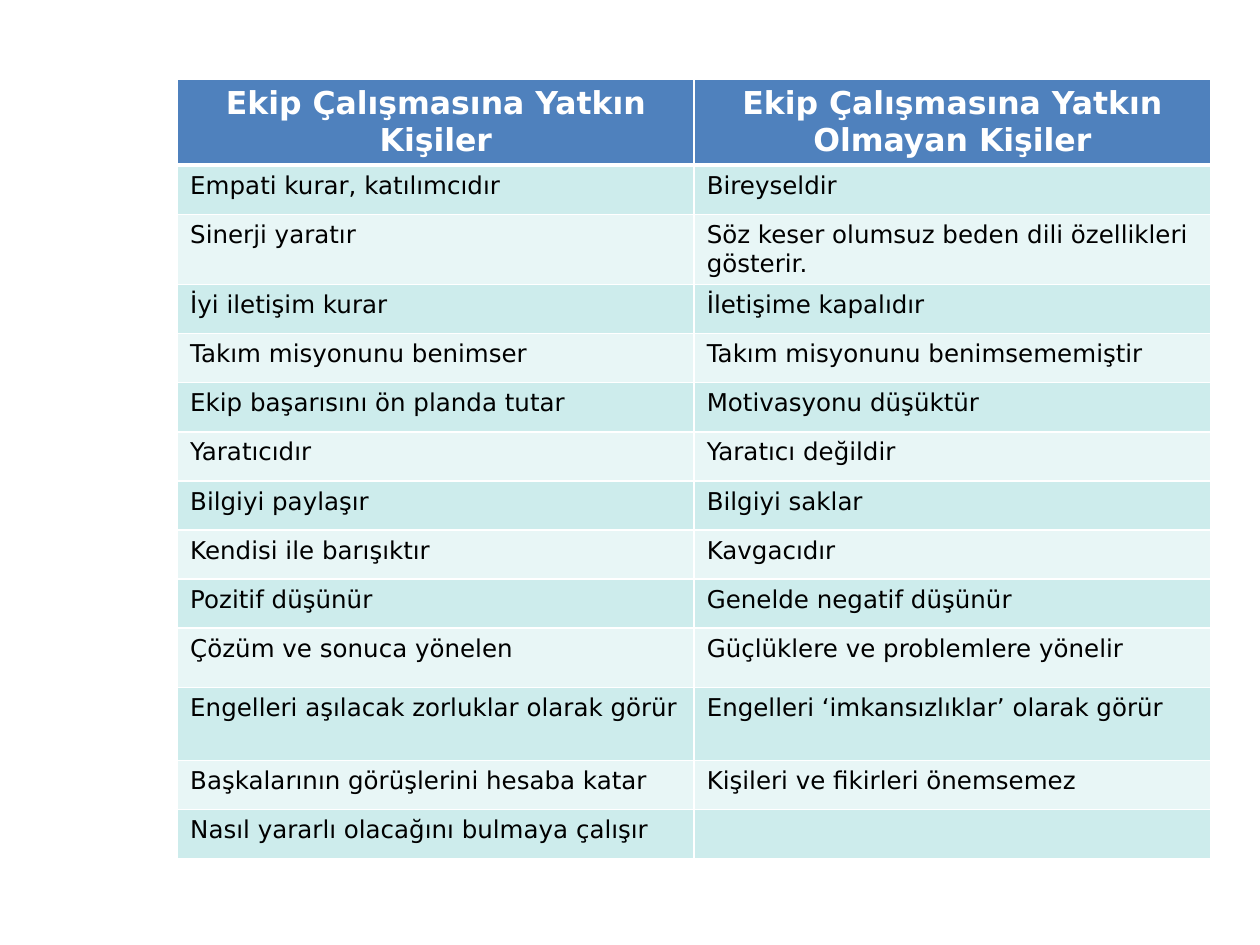
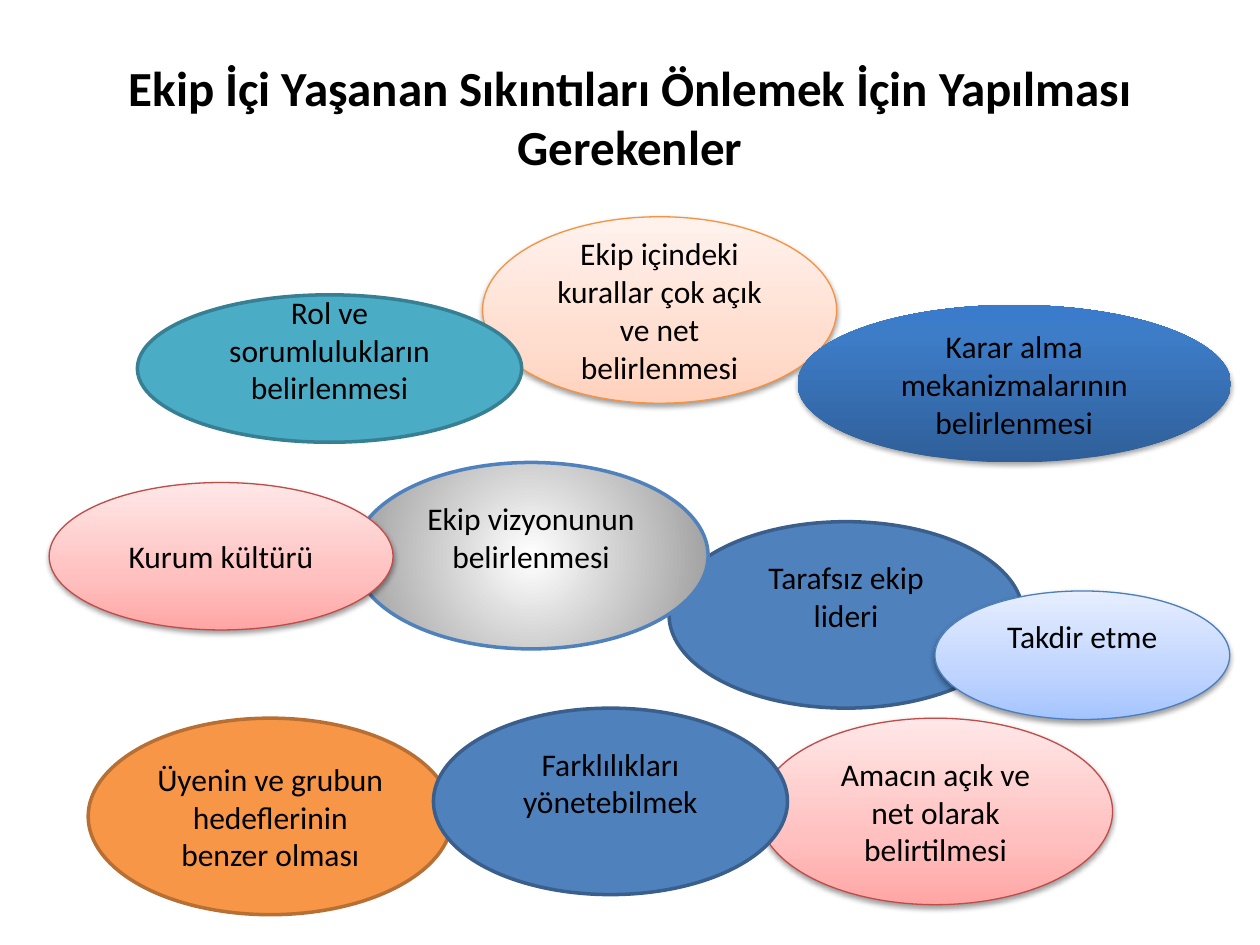
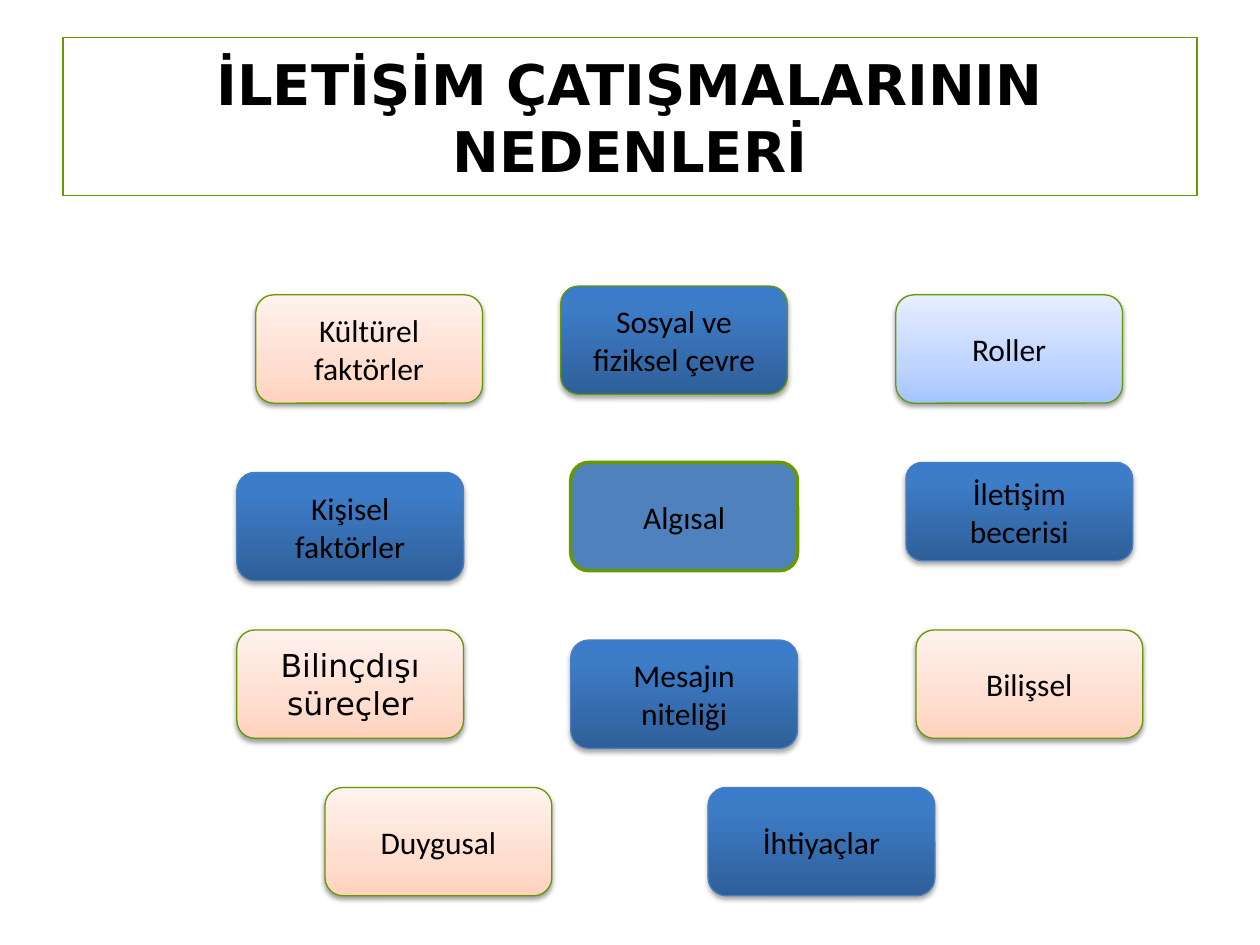
from dataclasses import dataclass

from pptx import Presentation
from pptx.dml.color import RGBColor
from pptx.enum.shapes import MSO_SHAPE as Preset
from pptx.enum.text import MSO_ANCHOR as Anchor, PP_ALIGN as Align
from pptx.oxml import parse_xml
from pptx.oxml.ns import nsdecls, qn
from pptx.util import Inches, Pt


@dataclass(frozen=True)
class Theme:
    body_font: str = "Calibri"
    wide_font: str = "DejaVu Sans"
    text: str = "000000"
    white: str = "FFFFFF"
    blue: str = "4F81BD"
    green: str = "669900"
    row_tints: tuple = ("CDECEC", "E8F6F6")
    header_size: int = 18
    row_size: int = 14
    label_size: int = 18
    title_size: int = 28
    capital_title_size: int = 32


@dataclass(frozen=True)
class Box:
    left: float
    top: float
    width: float
    height: float

    def inside(self, left, top, width, height):
        return Box(self.left + left, self.top + top, width, height)

    def lengths(self):
        return [Inches(n) for n in (self.left, self.top, self.width, self.height)]


@dataclass(frozen=True)
class Look:
    fill: object
    line: str = None
    weight: float = 0.75
    shadow: tuple = None
    radial: bool = False


THEME = Theme()
TITLE_BOX = Box(0.5, 0.3, 9, 1.25)
SOFT_SHADOW = (38, 1.6)
DEEP_SHADOW = (35, 1.8)
EMPTY_LINE = 0.3

LOOKS = {
    "blue": Look(THEME.blue, "3A5F8C", 2),
    "teal": Look("4BACC6", "377F92", 2),
    "orange": Look("F79646", "B76F34", 2),
    "silver": Look(((0, "FFFFFF"), (100, "979797")), THEME.blue, 2, radial=True),
    "peach": Look(((0, "FFD2BD"), (35, "FFDED0"), (100, "FFF2ED")), "F69240", shadow=SOFT_SHADOW),
    "rose": Look(((0, "FFA6A5"), (35, "FFC0BF"), (100, "FFE7E7")), "BF4C48", shadow=SOFT_SHADOW),
    "sky": Look(((0, "A4C4FF"), (35, "BFD4FF"), (100, "E6EEFF")), "4B7EBC", shadow=SOFT_SHADOW),
    "deep": Look(((0, "2F5F99"), (80, "3D7CC7"), (100, "3A7CCB")), "4B7EBC", shadow=DEEP_SHADOW),
}

TRAITS = [
    ("Ekip Çalışmasına Yatkın Kişiler", "Ekip Çalışmasına Yatkın Olmayan Kişiler"),
    ("Empati kurar, katılımcıdır", "Bireyseldir"),
    ("Sinerji yaratır", "Söz keser olumsuz beden dili özellikleri gösterir."),
    ("İyi iletişim kurar", "İletişime kapalıdır"),
    ("Takım misyonunu benimser", "Takım misyonunu benimsememiştir"),
    ("Ekip başarısını ön planda tutar", "Motivasyonu düşüktür"),
    ("Yaratıcıdır", "Yaratıcı değildir"),
    ("Bilgiyi paylaşır", "Bilgiyi saklar"),
    ("Kendisi ile barışıktır", "Kavgacıdır"),
    ("Pozitif düşünür", "Genelde negatif düşünür"),
    ("Çözüm ve sonuca yönelen", "Güçlüklere ve problemlere yönelir"),
    ("Engelleri aşılacak zorluklar olarak görür", "Engelleri ‘imkansızlıklar’ olarak görür"),
    ("Başkalarının görüşlerini hesaba katar", "Kişileri ve fikirleri önemsemez"),
    ("Nasıl yararlı olacağını bulmaya çalışır", ""),
]
ROW_HEIGHT = 0.39
TALL_ROWS = {0: 0.53, 2: 0.53, 10: 0.47, 11: 0.58}

BUBBLE = (2.81, 1.48)
MEASURES = [
    ("Tarafsız ekip lideri", "blue", (4.92, 2.42), BUBBLE, True),
    ("Ekip vizyonunun belirlenmesi", "silver", (2.42, 1.95), BUBBLE, True),
    ("Ekip içindeki kurallar çok açık ve net belirlenmesi", "peach", (3.44, 0), BUBBLE, False),
    ("Üyenin ve grubun hedeflerinin benzer olması", "orange", (0.31, 3.98), (2.89, 1.56), False),
    ("Amacın açık ve net olarak belirtilmesi", "rose", (5.63, 3.98), BUBBLE, False),
    ("Kurum kültürü", "rose", (0, 2.11), (2.73, 1.17), False),
    ("Takdir etme", "sky", (7.03, 2.97), (2.34, 1.02), True),
    ("Farklılıkları yönetebilmek", "blue", (3.05, 3.9), BUBBLE, True),
    ("Karar alma mekanizmalarının belirlenmesi", "deep", (5.94, 0.7), (3.44, 1.25), False),
    ("Rol ve sorumlulukların belirlenmesi", "teal", (0.7, 0.62), (3.05, 1.17), True),
]

CARD = (1.8, 0.86)
LOW_CARD = (1.8, 0.78)
CAUSES = [
    ("Kültürel faktörler", "peach", (0.15, 0.07), CARD, True),
    ("Sosyal ve fiziksel çevre", "deep", (2.57, 0), CARD, True),
    ("Roller", "sky", (5.23, 0.07), CARD, True),
    ("Kişisel faktörler", "deep", (0, 1.48), CARD, False),
    ("Algısal", "blue", (2.65, 1.4), CARD, True),
    ("İletişim becerisi", "deep", (5.31, 1.4), LOW_CARD, False),
    ("Bilinçdışı süreçler", "peach", (0, 2.73), CARD, True),
    ("Mesajın niteliği", "deep", (2.65, 2.81), CARD, False),
    ("Bilişsel", "peach", (5.39, 2.73), CARD, True),
    ("Duygusal", "peach", (0.7, 3.98), CARD, True),
    ("İhtiyaçlar", "deep", (3.74, 3.98), CARD, False),
]


def rgb(code):
    return RGBColor.from_string(code)


def write(frame, words, size, font=THEME.body_font, color=THEME.text, bold=False, align=Align.CENTER):
    paragraph = frame.paragraphs[0]
    paragraph.text = words
    paragraph.alignment = align
    paragraph.font.name = font
    paragraph.font.size = Pt(size)
    paragraph.font.bold = bold
    paragraph.font.color.rgb = rgb(color)


def paint_gradient(shape, stops, radial):
    shape.fill.gradient()
    plain = shape._element.spPr.find(qn("a:gradFill"))
    colors = "".join(
        f'<a:gs pos="{at * 1000}"><a:srgbClr val="{code}"/></a:gs>' for at, code in stops
    )
    if radial:
        direction = '<a:path path="circle"><a:fillToRect l="50000" t="50000" r="50000" b="50000"/></a:path>'
    else:
        direction = '<a:lin ang="16200000" scaled="0"/>'
    plain.getparent().replace(plain, parse_xml(
        f'<a:gradFill {nsdecls("a")} rotWithShape="1"><a:gsLst>{colors}</a:gsLst>{direction}</a:gradFill>'
    ))


def cast_shadow(shape, opacity, distance):
    effects = shape._element.spPr.find(qn("a:effectLst"))
    effects.append(parse_xml(
        f'<a:outerShdw {nsdecls("a")} blurRad="{Pt(3.1)}" dist="{Pt(distance)}" dir="5400000" rotWithShape="0">'
        f'<a:srgbClr val="000000"><a:alpha val="{opacity * 1000}"/></a:srgbClr></a:outerShdw>'
    ))


def apply_look(shape, look, outline):
    shape.shadow.inherit = False
    if isinstance(look.fill, str):
        shape.fill.solid()
        shape.fill.fore_color.rgb = rgb(look.fill)
    else:
        paint_gradient(shape, look.fill, look.radial)
    if outline:
        shape.line.color.rgb = rgb(outline)
        shape.line.width = Pt(look.weight)
    else:
        shape.line.fill.background()
    if look.shadow:
        cast_shadow(shape, *look.shadow)


def add_label(slide, preset, box, words, look, outline, font=THEME.body_font):
    label = slide.shapes.add_shape(preset, *box.lengths())
    apply_look(label, look, outline)
    frame = label.text_frame
    frame.word_wrap = True
    frame.vertical_anchor = Anchor.MIDDLE
    write(frame, words, THEME.label_size, font)
    return label


def add_titled_slide(deck, words, size, font):
    slide = deck.slides.add_slide(deck.slide_layouts[5])
    title = slide.shapes.title
    title.left, title.top, title.width, title.height = TITLE_BOX.lengths()
    title.text_frame.vertical_anchor = Anchor.MIDDLE
    write(title.text_frame, words, size, font, bold=True)
    return slide


def set_borders(cell, top, bottom):
    properties = cell._tc.get_or_add_tcPr()
    edges = (("lnL", 1), ("lnR", 1), ("lnT", top), ("lnB", bottom))
    for position, (edge, weight) in enumerate(edges):
        properties.insert(position, parse_xml(
            f'<a:{edge} {nsdecls("a")} w="{Pt(weight)}"><a:solidFill>'
            f'<a:srgbClr val="{THEME.white}"/></a:solidFill></a:{edge}>'
        ))


def add_trait_table(slide, box):
    table = slide.shapes.add_table(len(TRAITS), 2, *box.lengths()).table
    for column in table.columns:
        column.width = Inches(box.width / 2)
    for index, traits in enumerate(TRAITS):
        header = index == 0
        table.rows[index].height = Inches(TALL_ROWS.get(index, ROW_HEIGHT))
        for cell, words in zip(table.rows[index].cells, traits):
            cell.fill.solid()
            cell.fill.fore_color.rgb = rgb(THEME.blue if header else THEME.row_tints[(index - 1) % 2])
            set_borders(cell, 3 if index == 1 else 1, 3 if header else 1)
            if header:
                write(cell.text_frame, words, THEME.header_size, THEME.wide_font, THEME.white, True)
            else:
                write(cell.text_frame, words, THEME.row_size, THEME.wide_font, align=Align.LEFT)


def add_measures(slide, box):
    for words, style, place, size, raised in MEASURES:
        look = LOOKS[style]
        outline = None if style == "deep" else look.line
        bubble = add_label(slide, Preset.OVAL, box.inside(*place, *size), words, look, outline)
        if raised:
            bubble.text_frame.margin_bottom = Inches(0.05 + EMPTY_LINE)


def add_causes(slide, box):
    for words, style, place, size, green in CAUSES:
        look = LOOKS[style]
        outline = THEME.green if green else look.line
        font = THEME.wide_font if words.startswith("Bilinçdışı") else THEME.body_font
        add_label(slide, Preset.ROUNDED_RECTANGLE, box.inside(*place, *size), words, look, outline, font)


def main():
    deck = Presentation()
    deck.slide_width, deck.slide_height = Inches(10), Inches(7.5)

    comparison = deck.slides.add_slide(deck.slide_layouts[6])
    add_trait_table(comparison, Box(1.41, 0.63, 8.2, 6.25))

    prevention = add_titled_slide(
        deck, "Ekip İçi Yaşanan Sıkıntıları Önlemek İçin Yapılması Gerekenler",
        THEME.title_size, THEME.body_font)
    add_measures(prevention, Box(0.39, 1.72, 9.38, 5.54))

    conflict = add_titled_slide(
        deck, "İLETİŞİM ÇATIŞMALARININ NEDENLERİ", THEME.capital_title_size, THEME.wide_font)
    conflict.shapes.title.line.color.rgb = rgb(THEME.green)
    conflict.shapes.title.line.width = Pt(0.75)
    add_causes(conflict, Box(1.88, 2.27, 7.19, 4.84))

    deck.save("out.pptx")


if __name__ == "__main__":
    main()
